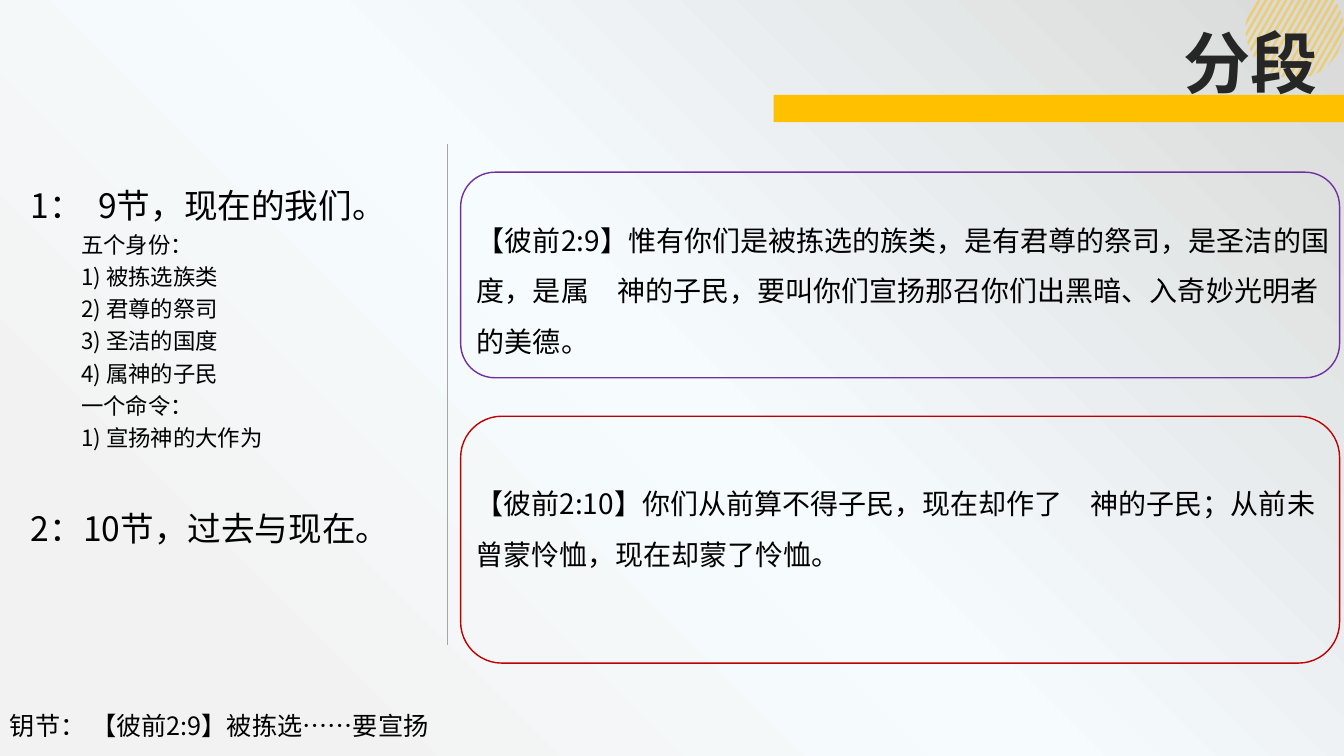
import math
from dataclasses import dataclass

import lxml.etree
import pptx
import pptx.dml.color
import pptx.enum.shapes
import pptx.enum.text
import pptx.oxml
import pptx.oxml.ns
import pptx.util

Cm = pptx.util.Cm
Pt = pptx.util.Pt
qn = pptx.oxml.ns.qn
RGBColor = pptx.dml.color.RGBColor
Shapes = pptx.enum.shapes.MSO_SHAPE
Anchor = pptx.enum.text.MSO_ANCHOR


@dataclass(frozen=True)
class Theme:
    font: str = "Noto Sans CJK SC"
    accent: str = "FFC000"
    title: str = "262626"
    text: str = "000000"
    divider: str = "A6A6A6"
    first_card: str = "7030A0"
    second_card: str = "C00000"
    background: tuple = ((15, "F2F2F2", 100), (50, "F6FCFE", 27), (100, "D9D9D9", 100))
    title_size: int = 48
    heading_size: int = 24
    verse_size: int = 20
    key_size: int = 18
    detail_size: int = 16


class SlideBuilder:
    def __init__(self, slide, theme):
        self.slide = slide
        self.theme = theme

    def background(self):
        self.slide.background.fill.gradient()
        gradient = self.slide.element.xpath(".//p:bgPr/a:gradFill")[0]
        stops = "".join(
            f'<a:gs pos="{position * 1000}"><a:srgbClr val="{color}">'
            f'<a:alpha val="{alpha * 1000}"/></a:srgbClr></a:gs>'
            for position, color, alpha in self.theme.background
        )
        replacement = pptx.oxml.parse_xml(
            f'<a:gradFill {pptx.oxml.ns.nsdecls("a")} rotWithShape="1"><a:gsLst>{stops}</a:gsLst>'
            '<a:path path="circle"><a:fillToRect t="100000" r="100000"/></a:path></a:gradFill>'
        )
        gradient.getparent().replace(gradient, replacement)

    def fill(self, shape, color, alpha=100):
        shape.shadow.inherit = False
        shape.fill.solid()
        shape.fill.fore_color.rgb = RGBColor.from_string(color)
        shape.line.fill.background()
        if alpha < 100:
            color_element = shape._element.spPr.find(qn("a:solidFill"))[0]
            lxml.etree.SubElement(color_element, qn("a:alpha"), val=str(alpha * 1000))

    def striped_circle(self, center_x, center_y, radius, first_x, pitch, width, count):
        group = self.slide.shapes.add_group_shape()
        slant = 1 / math.sqrt(3)

        def chord(edge_x):
            offset = edge_x - center_x
            a = slant**2 + 1
            half_b = slant * offset + center_y
            c = offset**2 + center_y**2 - radius**2
            reach = math.sqrt(max(0, half_b**2 - a * c))
            ends = max(0, (half_b - reach) / a), (half_b + reach) / a
            return [(Cm(edge_x - slant * y), Cm(y)) for y in ends]

        for index in range(count):
            left_x = first_x + index * pitch
            left_top, left_bottom = chord(left_x)
            right_top, right_bottom = chord(left_x + width)
            builder = group.shapes.build_freeform(*left_top)
            builder.add_line_segments([right_top, right_bottom, left_bottom], close=True)
            self.fill(builder.convert_to_shape(), self.theme.accent, 50)

    def bar(self, left, top, width, height):
        shape = self.slide.shapes.add_shape(
            Shapes.RECTANGLE, Cm(left), Cm(top), Cm(width), Cm(height))
        self.fill(shape, self.theme.accent)

    def card(self, left, top, width, height, color):
        shape = self.slide.shapes.add_shape(
            Shapes.ROUNDED_RECTANGLE, Cm(left), Cm(top), Cm(width), Cm(height))
        shape.shadow.inherit = False
        shape.fill.background()
        shape.line.color.rgb = RGBColor.from_string(color)
        shape.line.width = Pt(1)

    def divider(self, x, top, bottom):
        line = self.slide.shapes.add_connector(
            pptx.enum.shapes.MSO_CONNECTOR.STRAIGHT, Cm(x), Cm(top), Cm(x), Cm(bottom))
        line.line.color.rgb = RGBColor.from_string(self.theme.divider)
        line.line.width = Pt(0.5)
        lxml.etree.SubElement(line._element.spPr, qn("a:effectLst"))

    def text(self, left, top, width, height, lines, color=None, bold=False,
             spacing=1.0, anchor=Anchor.TOP, inset=None):
        box = self.slide.shapes.add_textbox(Cm(left), Cm(top), Cm(width), Cm(height))
        frame = box.text_frame
        frame.word_wrap = True
        frame.vertical_anchor = anchor
        if inset is not None:
            frame.margin_left = frame.margin_right = Cm(inset)
            frame.margin_top = frame.margin_bottom = Cm(inset)
        for index, (content, size, space_before) in enumerate(lines):
            paragraph = frame.add_paragraph() if index else frame.paragraphs[0]
            paragraph.text = content
            paragraph.line_spacing = spacing
            if space_before:
                paragraph.space_before = Pt(space_before)
            font = paragraph.font
            font.size = Pt(size)
            font.bold = bold
            font.color.rgb = RGBColor.from_string(color or self.theme.text)
            font.name = self.theme.font
            properties = paragraph._p.pPr.find(qn("a:defRPr"))
            lxml.etree.SubElement(properties, qn("a:ea"), typeface=self.theme.font)


def main():
    presentation = pptx.Presentation()
    presentation.slide_width = Cm(33.87)
    presentation.slide_height = Cm(19.05)
    theme = Theme()
    slide = presentation.slides.add_slide(presentation.slide_layouts[6])
    builder = SlideBuilder(slide, theme)

    builder.background()
    builder.striped_circle(32.63, 0.74, 1.24, first_x=31.7, pitch=0.17, width=0.07, count=17)
    builder.bar(19.5, 2.39, 14.37, 0.69)
    builder.text(29.57, 0.41, 4.29, 2.31, [("分段", theme.title_size, 0)],
                 color=theme.title, bold=True)

    details = ["五个身份：", "1) 被拣选族类", "2) 君尊的祭司", "3) 圣洁的国度",
               "4) 属神的子民", "一个命令：", "1) 宣扬神的大作为"]
    outline = [("1：  9节，现在的我们。", theme.heading_size, 0)]
    outline += [("\t" + detail, theme.detail_size, 0) for detail in details]
    outline.append(("2：10节，过去与现在。", theme.heading_size, 35))
    builder.text(0.53, 4.34, 11.3, 9.63, outline, spacing=1.2)
    builder.divider(11.28, 3.63, 16.26)

    builder.card(11.61, 4.34, 22.15, 5.18, theme.first_card)
    builder.text(
        11.84, 5.21, 22.15, 3.81,
        [("【彼前2:9】惟有你们是被拣选的族类，是有君尊的祭司，是圣洁的国度，是属　神的子民，"
          "要叫你们宣扬那召你们出黑暗、入奇妙光明者的美德。", theme.verse_size, 0)],
        spacing=1.5, anchor=Anchor.MIDDLE, inset=0.18)
    builder.card(11.61, 10.49, 22.15, 6.22, theme.second_card)
    builder.text(
        11.73, 11.68, 21.92, 2.87,
        [("【彼前2:10】你们从前算不得子民，现在却作了　神的子民；从前未曾蒙怜恤，"
          "现在却蒙了怜恤。", theme.verse_size, 0)],
        spacing=1.5, anchor=Anchor.MIDDLE, inset=0.25)

    builder.text(0, 17.78, 33.63, 1.02,
                 [("钥节： 【彼前2:9】被拣选……要宣扬", theme.key_size, 0)])
    presentation.save("out.pptx")


if __name__ == "__main__":
    main()
